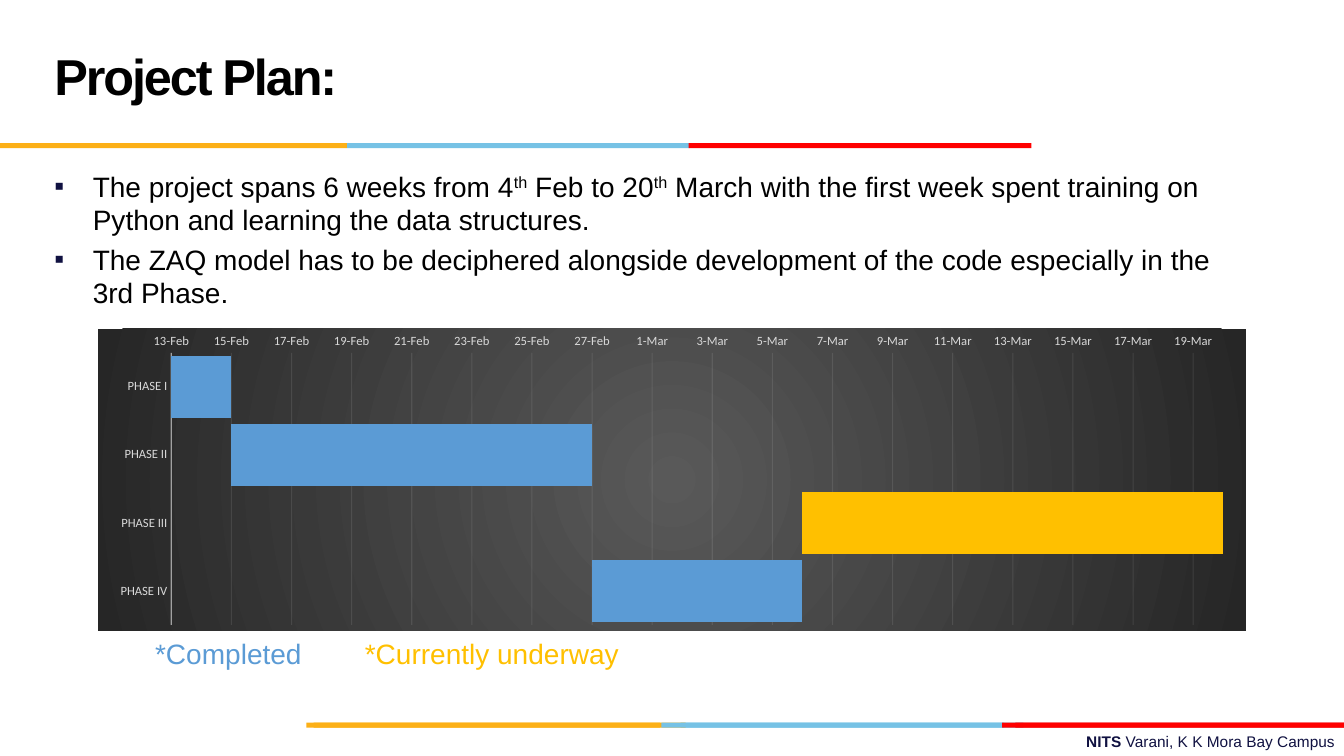
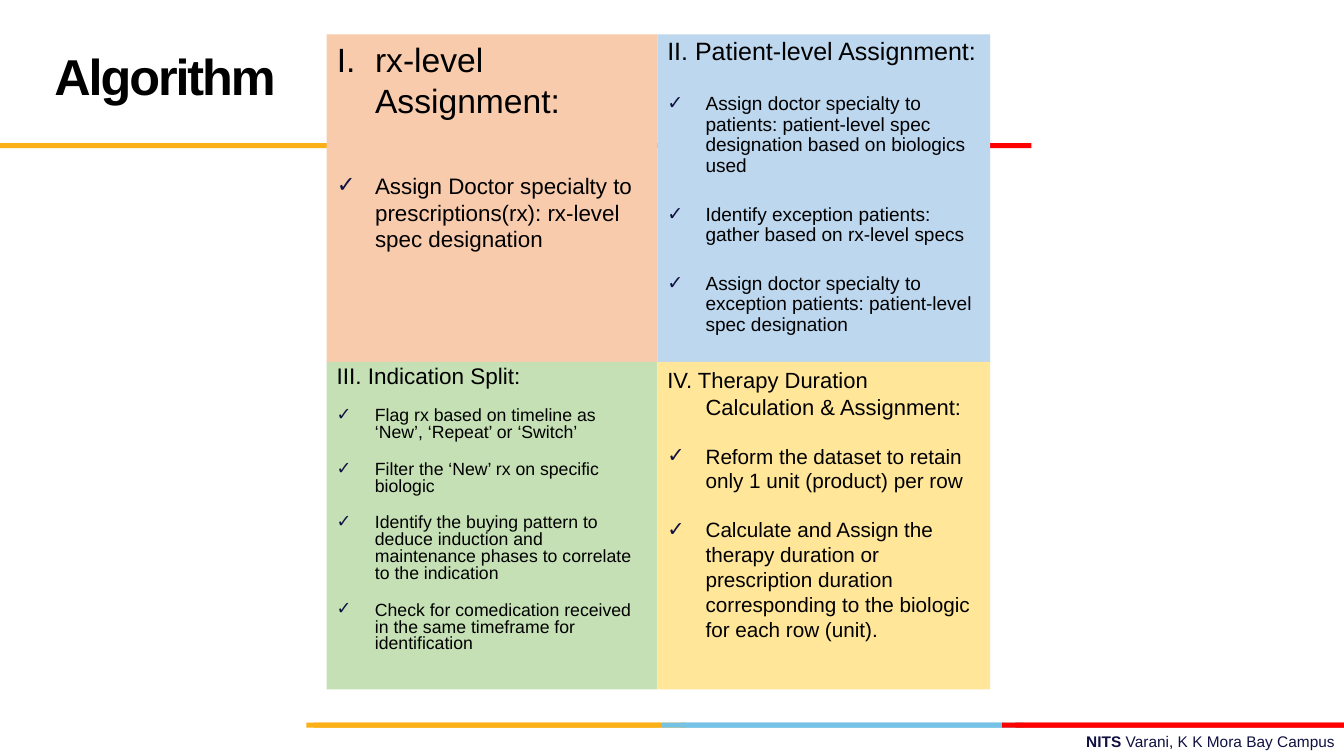
from lxml import etree
from pptx import Presentation
from pptx import util as u
from pptx.chart.data import CategoryChartData
from pptx.dml.color import RGBColor
from pptx.enum import chart as ch, shapes, text
from pptx.oxml import parse_xml
from pptx.oxml.ns import nsdecls, qn

NAVY, BLACK = "101141", "000000"
GOLD, SKY, RED, ROSE = "FCB017", "76C2E5", "FF0000", "E31C24"
DONE, NOW, PALE = "5B9BD5", "FFC000", "F2F2F2"

# left, top, width, colour
BANDS = [
    (6.75, 7.17, 3.4, SKY), (10.07, 7.17, 3.26, ROSE), (3.04, 7.17, 3.76, GOLD),
    (6.56, 7.17, 3.4, SKY), (3.11, 7.17, 3.44, GOLD), (9.94, 7.17, 3.39, RED),
    (3.44, 1.42, 3.4, SKY), (0, 1.42, 3.44, GOLD), (6.83, 1.42, 3.4, RED),
]


def rgb(code):
    return RGBColor.from_string(code)


def fade(line, alpha):
    """Make a solid line partly transparent; alpha is the percentage kept."""
    clr = line.fill._xPr.find(".//" + qn("a:srgbClr"))
    etree.SubElement(clr, qn("a:alpha")).set("val", str(alpha * 1000))


class Deck:
    """Holds the shared style and the slide being built."""

    def __init__(self):
        self.prs = Presentation()
        self.prs.slide_width = u.Inches(13.33)
        self.prs.slide_height = u.Inches(7.5)
        self.base = self.prs.slide_layouts[1]
        self.slide = None

    def start(self, title):
        first = self.slide is None
        self.slide = self.prs.slides.add_slide(self.base)
        if first:
            self.frame()
        head = self.slide.shapes.title
        self.place(head, 0.44, 0.17, 9.22, 1.25)
        head.text_frame.vertical_anchor = text.MSO_ANCHOR.MIDDLE
        para = self.para(head.text_frame, [(title, {"bold": True, "spc": -150})], 36)
        para.line_spacing = u.Pt(36)

    def frame(self):
        """Put the bands and the footer on the layout, behind every slide."""
        parts = [self.rect(x, y, w, 0.05, c) for x, y, w, c in BANDS]
        foot = self.label(4.78, 7.21, 8.56, 0.29, [
            ("NITS ", {"bold": True, "color": NAVY}),
            ("Varani, K K Mora Bay Campus", {"color": NAVY})], 11)
        foot.text_frame.paragraphs[0].alignment = text.PP_ALIGN.RIGHT
        for num, part in enumerate(parts + [foot], 100):
            part.element.nvSpPr.cNvPr.id = num
            self.base.shapes.element.append(part.element)

    def place(self, shape, x, y, w, h):
        shape.left, shape.top = u.Inches(x), u.Inches(y)
        shape.width, shape.height = u.Inches(w), u.Inches(h)
        frame = shape.text_frame
        frame.word_wrap = True
        frame.auto_size = text.MSO_AUTO_SIZE.NONE
        frame.vertical_anchor = text.MSO_ANCHOR.TOP

    def rect(self, x, y, w, h, fill):
        box = self.slide.shapes.add_shape(shapes.MSO_SHAPE.RECTANGLE, 0, 0, 0, 0)
        self.place(box, x, y, w, h)
        box.shadow.inherit = False
        box.fill.solid()
        box.fill.fore_color.rgb = rgb(fill)
        box.line.fill.background()
        return box

    def body(self, x, y, w, h):
        hold = self.slide.placeholders[1]
        self.place(hold, x, y, w, h)
        return hold

    def label(self, x, y, w, h, runs, size):
        box = self.slide.shapes.add_textbox(0, 0, 0, 0)
        self.place(box, x, y, w, h)
        self.para(box.text_frame, runs, size)
        return box

    def para(self, frame, runs, size, before=0, lead=1.0, hang=0, mark=None):
        """Add a paragraph of (text, style) runs, with an optional bullet."""
        para = frame.paragraphs[0]
        if para.runs:
            para = frame.add_paragraph()
        para.alignment = text.PP_ALIGN.LEFT
        para.line_spacing, para.space_before = lead, u.Pt(before)
        props = para._p.get_or_add_pPr()
        props.set("marL", str(u.Inches(hang)))
        props.set("indent", str(-u.Inches(hang)))
        if mark:
            clr = etree.SubElement(props, qn("a:buClr"))
            etree.SubElement(clr, qn("a:srgbClr")).set("val", NAVY)
            etree.SubElement(props, qn("a:buFont")).set("typeface", "Arial")
            etree.SubElement(props, qn("a:buChar")).set("char", mark)
        else:
            etree.SubElement(props, qn("a:buNone"))
        for words, style in runs:
            run = para.add_run()
            run.text = words
            font = run.font
            font.name, font.size = "Arial", u.Pt(size)
            font.bold = style.get("bold", False)
            font.color.rgb = rgb(style.get("color", BLACK))
            for key in ("baseline", "spc"):
                if key in style:
                    font._element.set(key, str(style[key]))
        return para

    def panel(self, box, head, items, sizes, gap, lead=1.0):
        """Fill a panel with a heading and ticked items, gap points apart."""
        frame = box.text_frame
        self.para(frame, [(head, {})], sizes[0], sizes[0] * 0.2, lead, 0.38)
        for item in items:
            self.para(frame, [(item, {})], sizes[1], gap, lead, 0.38, "✓")

    def gantt(self, x, y, w, h, rows):
        """Draw rows of (name, first day, days, colour) as floating bars."""
        data = CategoryChartData()
        data.categories = [row[0] for row in rows]
        data.add_series("Series 1", [row[1] for row in rows])
        data.add_series("Series 2", [row[2] for row in rows])
        chart = self.slide.shapes.add_chart(
            ch.XL_CHART_TYPE.BAR_STACKED, u.Inches(x), u.Inches(y),
            u.Inches(w), u.Inches(h), data).chart
        chart.has_legend = chart.has_title = False
        chart.font.name, chart.font.size = "Calibri", u.Pt(10)
        plot = chart.plots[0]
        plot.gap_width, plot.overlap = 10, 100
        plot.vary_by_categories = False
        start, span = plot.series
        start.format.fill.background()
        for num, row in enumerate(rows):
            fill = span.points[num].format.fill
            fill.solid()
            fill.fore_color.rgb = rgb(row[3])
        cats, days = chart.category_axis, chart.value_axis
        for axis in (cats, days):
            axis.major_tick_mark = axis.minor_tick_mark = ch.XL_TICK_MARK.NONE
            font = axis.tick_labels.font
            font.name, font.size = "Calibri", u.Pt(9)
            font.color.rgb = rgb("D9D9D9")
        cats.reverse_order = True
        days.minimum_scale, days.maximum_scale, days.major_unit = 43509, 43544, 2
        days.tick_labels.number_format = "d\\-mmm"
        days.tick_labels.number_format_is_linked = False
        days.format.line.fill.background()
        grid = days.major_gridlines.format.line
        for line, width, alpha in ((cats.format.line, 1, 54), (grid, 0.75, 10)):
            line.color.rgb = rgb(PALE)
            line.width = u.Pt(width)
            fade(line, alpha)
        self.backdrop(chart)

    def backdrop(self, chart):
        """Set the inner plot area and the radial dark background."""
        root = chart._chartSpace.find(qn("c:chart"))
        area = root.find(qn("c:plotArea"))
        for old in area.findall(qn("c:layout")):
            area.remove(old)
        spots = "".join(f'<c:{k} val="{v}"/>' for k, v in (
            ("layoutTarget", "inner"), ("xMode", "edge"), ("yMode", "edge"),
            ("x", 0.064), ("y", 0.08), ("w", 0.916), ("h", 0.9)))
        area.insert(0, parse_xml(
            f'<c:layout {nsdecls("c")}><c:manualLayout>{spots}'
            '</c:manualLayout></c:layout>'))
        root.addnext(parse_xml(
            f'<c:spPr {nsdecls("c", "a")}><a:gradFill><a:gsLst>'
            '<a:gs pos="0"><a:srgbClr val="595959"/></a:gs>'
            '<a:gs pos="100000"><a:srgbClr val="262626"/></a:gs></a:gsLst>'
            '<a:path path="circle"><a:fillToRect l="50000" t="50000" r="50000" '
            'b="50000"/></a:path></a:gradFill><a:ln><a:noFill/></a:ln></c:spPr>'))


def plan(deck):
    deck.start("Project Plan:")
    frame = deck.body(0.44, 1.63, 12, 1.63).text_frame
    sup = {"baseline": 30000}
    points = [
        [("The project spans 6 weeks from 4", {}), ("th", sup), (" Feb to 20", {}),
         ("th", sup), (" March with the first week spent training on Python "
                       "and learning the data structures.", {})],
        [("The ZAQ model has to be deciphered alongside development of the code "
          "especially in the 3rd Phase.", {})],
    ]
    for runs in points:
        deck.para(frame, runs, 20, 4, hang=0.38, mark="▪")
    deck.gantt(0.97, 3.26, 11.39, 3, [
        ("PHASE I", 43509, 2, DONE), ("PHASE II", 43511, 12, DONE),
        ("PHASE III", 43530, 15, NOW), ("PHASE IV", 43523, 7, DONE)])
    for x, words, color in ((1.44, "*Completed", DONE),
                            (3.52, "*Currently underway", NOW)):
        deck.label(x, 6.27, 3, 0.5, [(words, {"color": color})], 20)


def steps(deck):
    deck.start("Algorithm")
    left, mid, top, low, side = 3.24, 6.52, 0.34, 3.59, 3.25
    wide, broad = mid - left, 3.3
    first = deck.body(left, top, wide, side)
    first.fill.solid()
    first.fill.fore_color.rgb = rgb("F8CBAD")
    deck.panel(first, "I.\trx-level Assignment:", [
        "Assign Doctor specialty to prescriptions(rx): rx-level spec designation",
    ], (24, 16), 37)
    deck.panel(deck.rect(mid, top, broad, side, "BDD7EE"),
               "II. Patient-level Assignment:", [
        "Assign doctor specialty to patients: patient-level spec designation "
        "based on biologics used",
        "Identify exception patients: gather based on rx-level specs",
        "Assign doctor specialty to exception patients: patient-level spec designation",
    ], (17.9, 13.6), 20, 0.9)
    deck.panel(deck.rect(left, low, wide, side, "C5E0B4"),
               "III. Indication Split:", [
        "Flag rx based on timeline as ‘New’, ‘Repeat’ or ‘Switch’",
        "Filter the ‘New’ rx on specific biologic",
        "Identify the buying pattern to deduce induction and maintenance phases "
        "to correlate to the indication",
        "Check for comedication received in the same timeframe for identification",
    ], (16.1, 12.6), 14, 0.8)
    deck.panel(deck.rect(mid, low, broad, side, "FFE699"),
               "IV. Therapy Duration Calculation & Assignment:", [
        "Reform the dataset to retain only 1 unit (product) per row",
        "Calculate and Assign the therapy duration or prescription duration "
        "corresponding to the biologic for each row (unit).",
    ], (15.7, 14.8), 17)


def main():
    deck = Deck()
    plan(deck)
    steps(deck)
    deck.prs.save("out.pptx")


if __name__ == "__main__":
    main()
